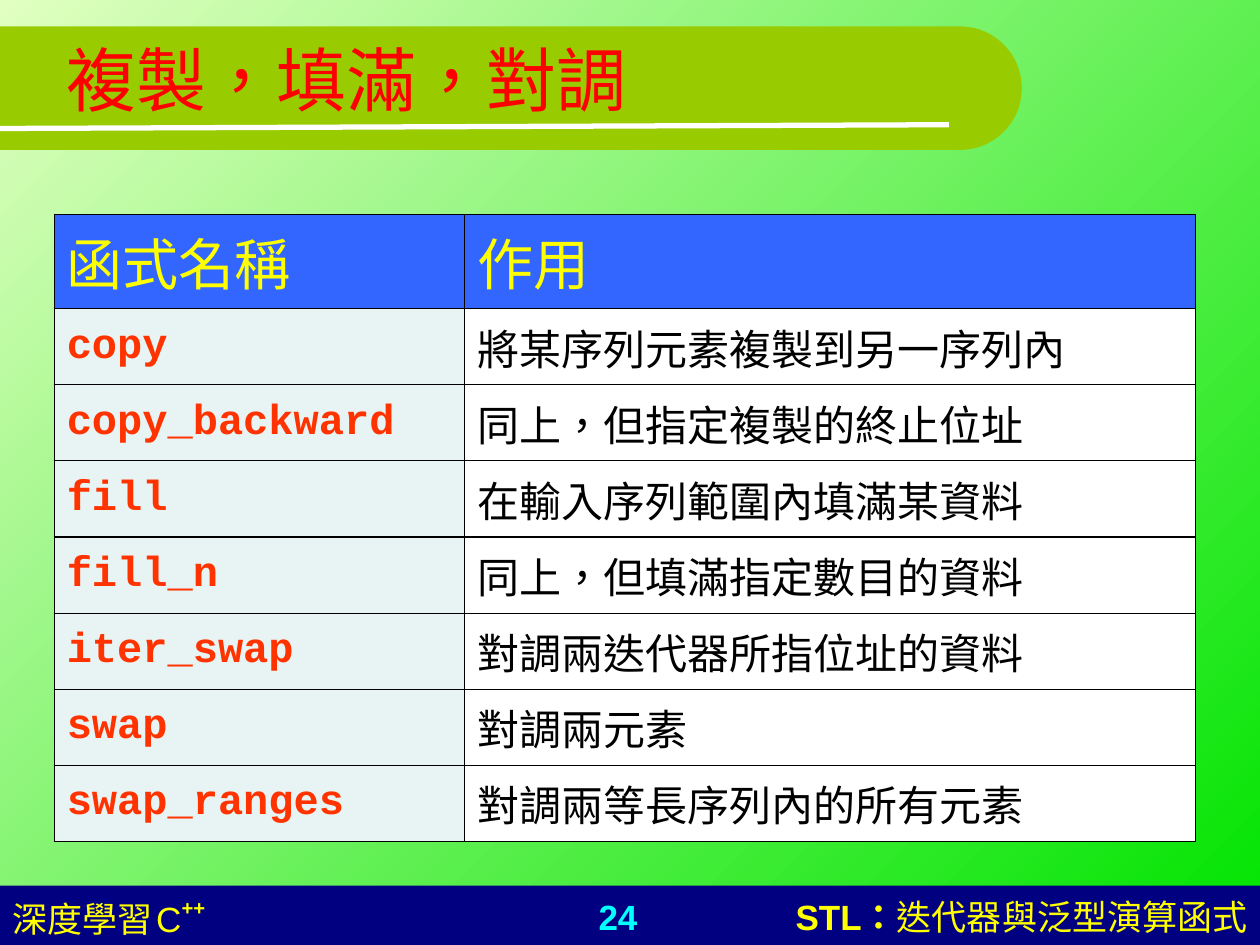
from math import cos, pi, sin

from lxml.etree import SubElement
from pptx import Presentation
from pptx.dml.color import RGBColor
from pptx.enum.lang import MSO_LANGUAGE_ID as LANGUAGE
from pptx.enum.shapes import MSO_CONNECTOR, MSO_SHAPE
from pptx.enum.text import MSO_ANCHOR, PP_ALIGN
from pptx.oxml import parse_xml
from pptx.oxml.ns import nsdecls, qn
from pptx.util import Inches, Pt

COLORS = {
    "light": "E0FFC1", "green": "00E400", "band": "99CC00", "white": "FFFFFF",
    "navy": "000080", "cyan": "00FFFF", "yellow": "FFFF00", "title": "FF0000",
    "header": "3366FF", "name": "FF3300", "name_fill": "E8F4F4", "black": "000000",
}
FUNCTIONS = [
    ("copy", "將某序列元素複製到另一序列內"),
    ("copy_backward", "同上，但指定複製的終止位址"),
    ("fill", "在輸入序列範圍內填滿某資料"),
    ("fill_n", "同上，但填滿指定數目的資料"),
    ("iter_swap", "對調兩迭代器所指位址的資料"),
    ("swap", "對調兩元素"),
    ("swap_ranges", "對調兩等長序列內的所有元素"),
]


def color(name):
    """Return the named colour."""
    return RGBColor.from_string(COLORS[name])


def style(span, size, name, bold=False, face="Arial"):
    """Format one run of text."""
    font = span.font
    font.name, font.size, font.bold = face, Pt(size), bold
    font.language_id = LANGUAGE.TRADITIONAL_CHINESE
    font.color.rgb = color(name)


def paint(shape, name):
    """Give a shape a plain fill without outline or shadow."""
    shape.shadow.inherit = False
    shape.fill.solid()
    shape.fill.fore_color.rgb = color(name)
    shape.line.fill.background()


def add_background(page):
    """Fill the page with a diagonal gradient."""
    fill = page.background.fill
    fill.gradient()
    fill.gradient_angle = 315
    for stop, name in zip(fill.gradient_stops, ("light", "green")):
        stop.color.rgb = color(name)


def add_band(page):
    """Draw the round-ended title band and its white rule."""
    top, bottom, center_x = 0.21, 1.19, 7.62
    radius, center_y = (bottom - top) / 2, (top + bottom) / 2
    angles = [pi * step / 40 - pi / 2 for step in range(41)]
    arc = [(Inches(center_x + radius * cos(a)), Inches(center_y + radius * sin(a)))
           for a in angles]
    builder = page.shapes.build_freeform(0, Inches(top))
    builder.add_line_segments(arc + [(0, Inches(bottom))], close=True)
    paint(builder.convert_to_shape(), "band")
    rule = page.shapes.add_connector(
        MSO_CONNECTOR.STRAIGHT, 0, Inches(1.02), Inches(7.53), Inches(0.99))
    rule.line.color.rgb = color("white")
    rule.line.width = Pt(3)
    SubElement(rule._element.spPr, qn("a:effectLst"))


def add_title(page, text):
    """Place the title in front of the band."""
    title = page.shapes.title
    title.left, title.top = Inches(0.43), 0
    title.width, title.height = Inches(9), Inches(1.25)
    frame = title.text_frame
    frame.text = text
    frame.vertical_anchor = MSO_ANCHOR.MIDDLE
    para = frame.paragraphs[0]
    para.alignment = PP_ALIGN.LEFT
    style(para.runs[0], 40, "title")
    page.shapes._spTree.append(title._element)


def add_footer_text(page, left, width, align, parts):
    """Add a footer box from (text, size, colour, bold) parts."""
    box = page.shapes.add_textbox(Inches(left), Inches(7.06), Inches(width), Inches(0.44))
    box.text_frame.word_wrap = True
    para = box.text_frame.paragraphs[0]
    para.alignment = align
    for text, *look in parts:
        span = para.add_run()
        span.text = text
        style(span, *look)
    return para


def add_footer(page):
    """Draw the footer bar with course, page number and chapter."""
    bar = page.shapes.add_shape(
        MSO_SHAPE.RECTANGLE, 0, Inches(7.03), Inches(10), Inches(0.47))
    paint(bar, "navy")
    add_footer_text(page, 3.74, 2.33, PP_ALIGN.CENTER, [("24", 20, "cyan", True)])
    add_footer_text(page, 5.63, 4.37, PP_ALIGN.RIGHT, [
        ("STL：", 20, "yellow", True), ("迭代器與泛型演算函式", 20, "yellow", False)])
    course = add_footer_text(page, 0, 3.35, PP_ALIGN.LEFT, [
        ("深度學習", 20, "yellow", False), (" ", 9, "yellow", False),
        ("C", 20, "yellow", False), ("++", 20, "yellow", True)])
    course.runs[-1].font._element.set("baseline", "46000")


def add_borders(cell):
    """Outline a cell with thin black lines."""
    properties = cell._tc.get_or_add_tcPr()
    for index, side in enumerate(("lnL", "lnR", "lnT", "lnB")):
        properties.insert(index, parse_xml(
            f'<a:{side} {nsdecls("a")} w="{Pt(0.75)}"><a:solidFill>'
            f'<a:srgbClr val="{COLORS["black"]}"/></a:solidFill></a:{side}>'))


def fill_cell(cell, text, fill, *look):
    """Write and format one table cell."""
    cell.text = text
    cell.vertical_anchor = MSO_ANCHOR.MIDDLE
    cell.fill.solid()
    cell.fill.fore_color.rgb = color(fill)
    style(cell.text_frame.paragraphs[0].runs[0], *look, face="Courier New")
    add_borders(cell)


def add_function_table(page):
    """Add the table of function names and purposes."""
    total, header = 4.98, 0.75
    body = (total - header) / len(FUNCTIONS)
    widths, heights = (3.26, 5.8), [header] + [body] * len(FUNCTIONS)
    table = page.shapes.add_table(
        len(heights), len(widths), Inches(0.43), Inches(1.7),
        Inches(sum(widths)), Inches(total)).table
    for column, width in zip(table.columns, widths):
        column.width = Inches(width)
    for row, height in zip(table.rows, heights):
        row.height = Inches(height)
    for index, heading in enumerate(("函式名稱", "作用")):
        fill_cell(table.cell(0, index), heading, "header", 32, "yellow")
    for index, (name, purpose) in enumerate(FUNCTIONS, 1):
        fill_cell(table.cell(index, 0), name, "name_fill", 24, "name", True)
        fill_cell(table.cell(index, 1), purpose, "white", 24, "black")


def main():
    """Build the slide and save the deck."""
    deck = Presentation()
    deck.slide_width, deck.slide_height = Inches(10), Inches(7.5)
    page = deck.slides.add_slide(deck.slide_layouts[5])
    add_background(page)
    add_band(page)
    add_footer(page)
    add_title(page, "複製，填滿，對調")
    add_function_table(page)
    deck.save("out.pptx")


if __name__ == "__main__":
    main()
